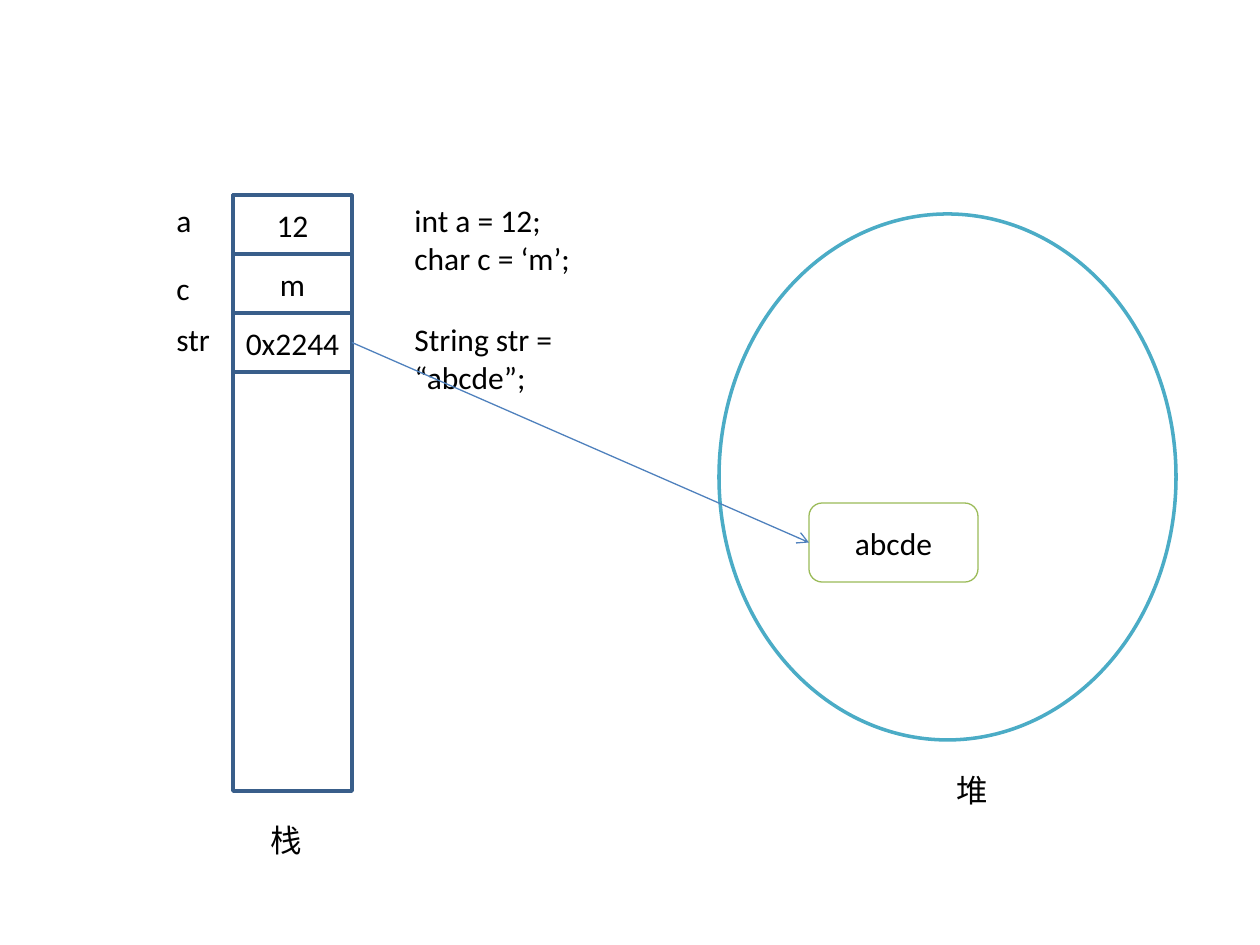
from dataclasses import dataclass
from typing import Optional

from lxml.etree import SubElement
from pptx import Presentation
from pptx.dml.color import RGBColor
from pptx.enum.shapes import MSO_CONNECTOR as Connector, MSO_SHAPE as Preset
from pptx.enum.text import MSO_ANCHOR as Anchor, PP_ALIGN as Align
from pptx.oxml.ns import qn
from pptx.util import Emu, Pt

EMU_PER_PX = 914400 / 126
BLACK = RGBColor(0x00, 0x00, 0x00)
WHITE = RGBColor(0xFF, 0xFF, 0xFF)
STACK_BLUE = RGBColor(0x39, 0x5E, 0x8A)
HEAP_TEAL = RGBColor(0x4B, 0xAC, 0xC6)
OBJECT_GREEN = RGBColor(0x9B, 0xBB, 0x59)
REFERENCE_BLUE = RGBColor(0x4F, 0x81, 0xBD)

STACK_LEFT, STACK_TOP, STACK_WIDTH, STACK_HEIGHT = 233, 195, 119, 596
SLOT_HEIGHT = 59
OBJECT_LEFT, OBJECT_TOP, OBJECT_WIDTH, OBJECT_HEIGHT = 809, 503, 169, 79
NAME_LEFT, NAME_WIDTH, CODE_LEFT, LINE_HEIGHT = 164, 60, 402, 51


@dataclass(frozen=True)
class Region:
    preset: Preset
    left: int
    top: int
    width: int
    height: int
    line: RGBColor
    weight: float = 2
    fill: Optional[RGBColor] = None
    content: str = ""


@dataclass(frozen=True)
class Label:
    text: str
    left: int
    top: int
    width: int
    height: int = LINE_HEIGHT


@dataclass(frozen=True)
class Variable:
    name: str
    value: str
    name_top: int


def px(length: float) -> Emu:
    return Emu(round(length * EMU_PER_PX))


def write(frame, text: str, align: Align) -> None:
    frame.text = text
    for paragraph in frame.paragraphs:
        paragraph.alignment = align
        for run in paragraph.runs:
            run.font.name = "Calibri"
            run.font.size = Pt(18)
            run.font.color.rgb = BLACK


def draw_region(slide, region: Region) -> None:
    outline = slide.shapes.add_shape(
        region.preset, px(region.left), px(region.top), px(region.width), px(region.height)
    )
    outline.shadow.inherit = False
    outline.line.color.rgb = region.line
    outline.line.width = Pt(region.weight)
    if region.fill is None:
        outline.fill.background()
    else:
        outline.fill.solid()
        outline.fill.fore_color.rgb = region.fill
    if region.content:
        outline.text_frame.word_wrap = False
        outline.text_frame.vertical_anchor = Anchor.MIDDLE
        write(outline.text_frame, region.content, Align.CENTER)


def draw_label(slide, label: Label) -> None:
    box = slide.shapes.add_textbox(
        px(label.left), px(label.top), px(label.width), px(label.height)
    )
    box.text_frame.word_wrap = True
    write(box.text_frame, label.text, Align.LEFT)


def draw_reference(slide, start: tuple[float, float], end: tuple[float, float]) -> None:
    arrow = slide.shapes.add_connector(Connector.STRAIGHT, *map(px, start + end))
    arrow.line.color.rgb = REFERENCE_BLUE
    arrow.line.width = Pt(0.75)
    SubElement(arrow.line._get_or_add_ln(), qn("a:tailEnd"), type="arrow")
    SubElement(arrow._element.spPr, qn("a:effectLst"))


VARIABLES = [
    Variable("a", "12", 195),
    Variable("c", "m", 263),
    Variable("str", "0x2244", 314),
]
LABELS = [
    Label("堆", 944, 765, 69),
    Label("栈", 258, 815, 69),
    Label("int a = 12;\nchar c = ‘m’;", CODE_LEFT, 195, 198, 88),
    Label("String str = “abcde”;", CODE_LEFT, 314, 277, 88),
]
HEAP = Region(Preset.OVAL, 719, 214, 457, 526, HEAP_TEAL)
STACK = Region(
    Preset.RECTANGLE, STACK_LEFT, STACK_TOP, STACK_WIDTH, STACK_HEIGHT, STACK_BLUE
)
STRING_OBJECT = Region(
    Preset.ROUNDED_RECTANGLE, OBJECT_LEFT, OBJECT_TOP, OBJECT_WIDTH, OBJECT_HEIGHT,
    OBJECT_GREEN, 0.75, WHITE, "abcde",
)


def main() -> None:
    deck = Presentation()
    deck.slide_width, deck.slide_height = px(1260), px(945)
    slide = deck.slides.add_slide(deck.slide_layouts[6])

    draw_region(slide, HEAP)
    draw_region(slide, STACK)
    for index, variable in enumerate(VARIABLES):
        slot_top = STACK_TOP + index * SLOT_HEIGHT
        draw_region(slide, Region(
            Preset.RECTANGLE, STACK_LEFT, slot_top, STACK_WIDTH, SLOT_HEIGHT,
            STACK_BLUE, content=variable.value,
        ))
        draw_label(slide, Label(variable.name, NAME_LEFT, variable.name_top, NAME_WIDTH))
    for label in LABELS:
        draw_label(slide, label)
    draw_region(slide, STRING_OBJECT)

    last_slot_middle = STACK_TOP + (len(VARIABLES) - 0.5) * SLOT_HEIGHT
    draw_reference(
        slide,
        (STACK_LEFT + STACK_WIDTH, last_slot_middle),
        (OBJECT_LEFT, OBJECT_TOP + OBJECT_HEIGHT / 2),
    )
    deck.save("out.pptx")


if __name__ == "__main__":
    main()
